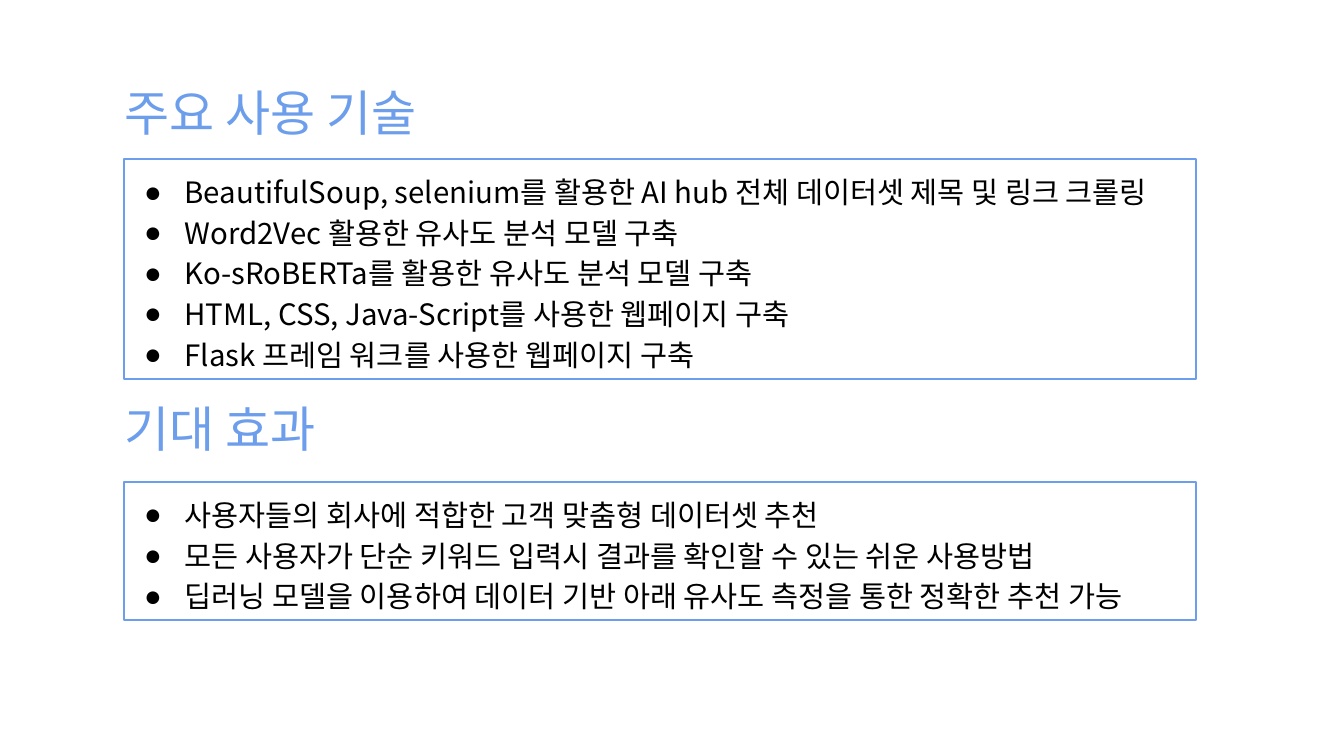
from lxml.etree import SubElement as Sub
from pptx import Presentation
from pptx.dml.color import RGBColor as Rgb
from pptx.enum.text import MSO_ANCHOR as Anchor, MSO_AUTO_SIZE as Fit, PP_ALIGN as Align
from pptx.oxml.ns import qn
from pptx.util import Pt

INK = {"blue": "6D9EEB", "black": "000000"}
FONT = "Noto Sans CJK KR"
LEFT, WIDE = 88.6, 766
TECH = [
    "BeautifulSoup, selenium를 활용한 AI hub 전체 데이터셋 제목 및 링크 크롤링",
    "Word2Vec 활용한 유사도 분석 모델 구축",
    "Ko-sRoBERTa를 활용한 유사도 분석 모델 구축",
    "HTML, CSS, Java-Script를 사용한 웹페이지 구축",
    "Flask 프레임 워크를 사용한 웹페이지 구축",
]
GAINS = [
    "사용자들의 회사에 적합한 고객 맞춤형 데이터셋 추천",
    "모든 사용자가 단순 키워드 입력시 결과를 확인할 수 있는 쉬운 사용방법",
    "딥러닝 모델을 이용하여 데이터 기반 아래 유사도 측정을 통한 정확한 추천 가능",
]


class Deck:
    """Hold the style and the current slide, and fill it with headings and lists."""

    def __init__(self):
        self.prs = Presentation()
        self.prs.slide_width, self.prs.slide_height = Pt(960), Pt(540)
        self.slide = self.prs.slides.add_slide(self.prs.slide_layouts[3])

    def place(self, shape, top, width, height, inset):
        shape.left, shape.top = Pt(LEFT), Pt(top)
        shape.width, shape.height = Pt(width), Pt(height)
        frame = shape.text_frame
        frame.word_wrap, frame.auto_size = True, Fit.NONE
        frame.vertical_anchor = Anchor.TOP
        frame.margin_left = frame.margin_right = Pt(inset)
        frame.margin_top = frame.margin_bottom = Pt(inset)
        return frame

    def style(self, para, size, ink, lead):
        para.alignment, para.line_spacing = Align.LEFT, lead
        para.space_before = para.space_after = Pt(0)
        font = para.font
        font.size, font.name, font.bold = Pt(size), FONT, False
        font.color.rgb = Rgb.from_string(INK[ink])
        Sub(font._element, qn("a:ea"), typeface=FONT)

    def bullet(self, para):
        props = para._p.get_or_add_pPr()
        props.set("marL", str(Pt(36)))
        props.set("indent", str(Pt(-28.8)))
        tint = Sub(props, qn("a:buClr"))
        Sub(tint, qn("a:srgbClr"), val=INK["black"])
        Sub(props, qn("a:buChar"), char="●")

    def head(self, shape, text, top, width):
        frame = self.place(shape, top, width, 39, 0)
        frame.text = text
        self.style(frame.paragraphs[0], 35, "blue", 0.9)

    def list(self, shape, items, top, height):
        frame = self.place(shape, top, WIDE, height, 7.2)
        shape.fill.background()
        shape.line.color.rgb = Rgb.from_string(INK["blue"])
        shape.line.width = Pt(1.5)
        frame.text = "\n".join(items)
        for para in frame.paragraphs:
            self.bullet(para)
            self.style(para, 21, "black", 1.15)


def main():
    deck = Deck()
    shapes = deck.slide.shapes
    title, first, last = deck.slide.placeholders
    deck.head(title, "주요 사용 기술", 63.5, 227.5)
    deck.list(first, TECH, 113.6, 157)
    box = shapes.add_textbox(Pt(LEFT), Pt(289.5), Pt(150.5), Pt(39))
    deck.head(box, "기대 효과", 289.5, 150.5)
    deck.list(last, GAINS, 344.2, 98.6)
    deck.prs.save("out.pptx")


if __name__ == "__main__":
    main()
